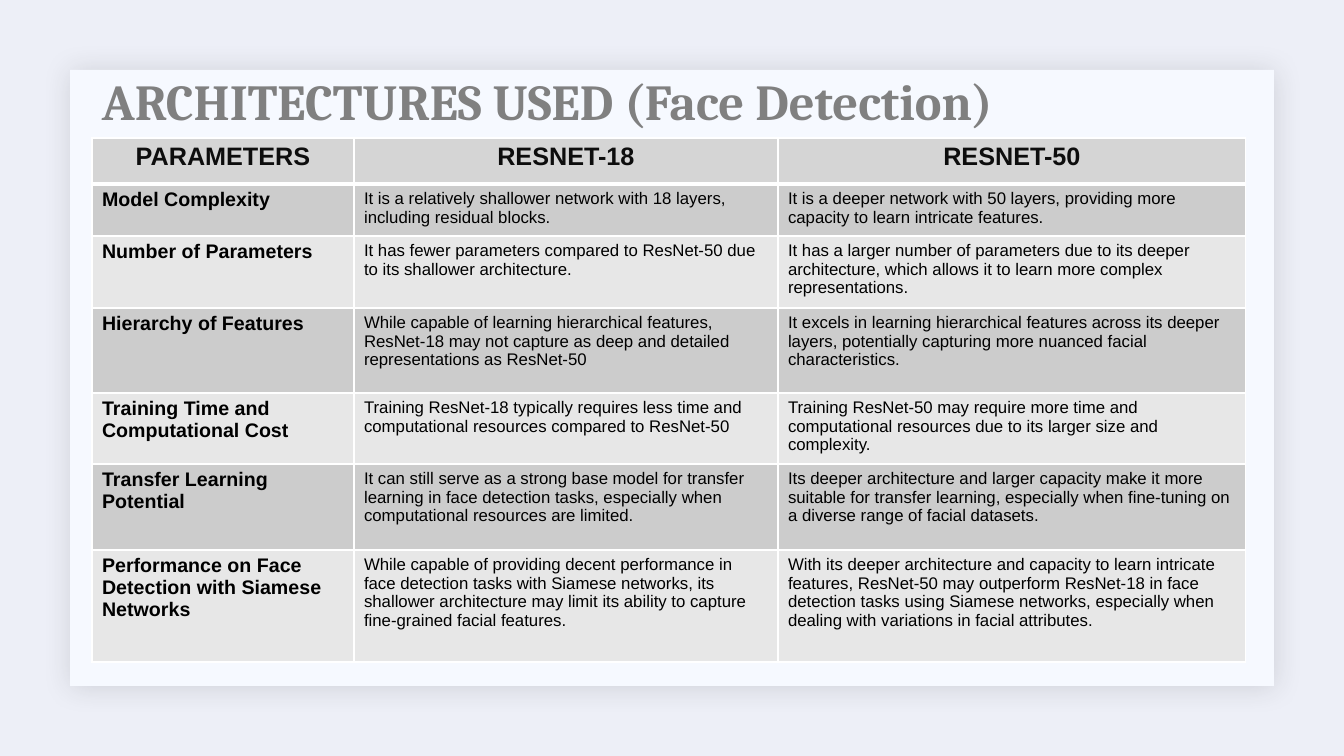
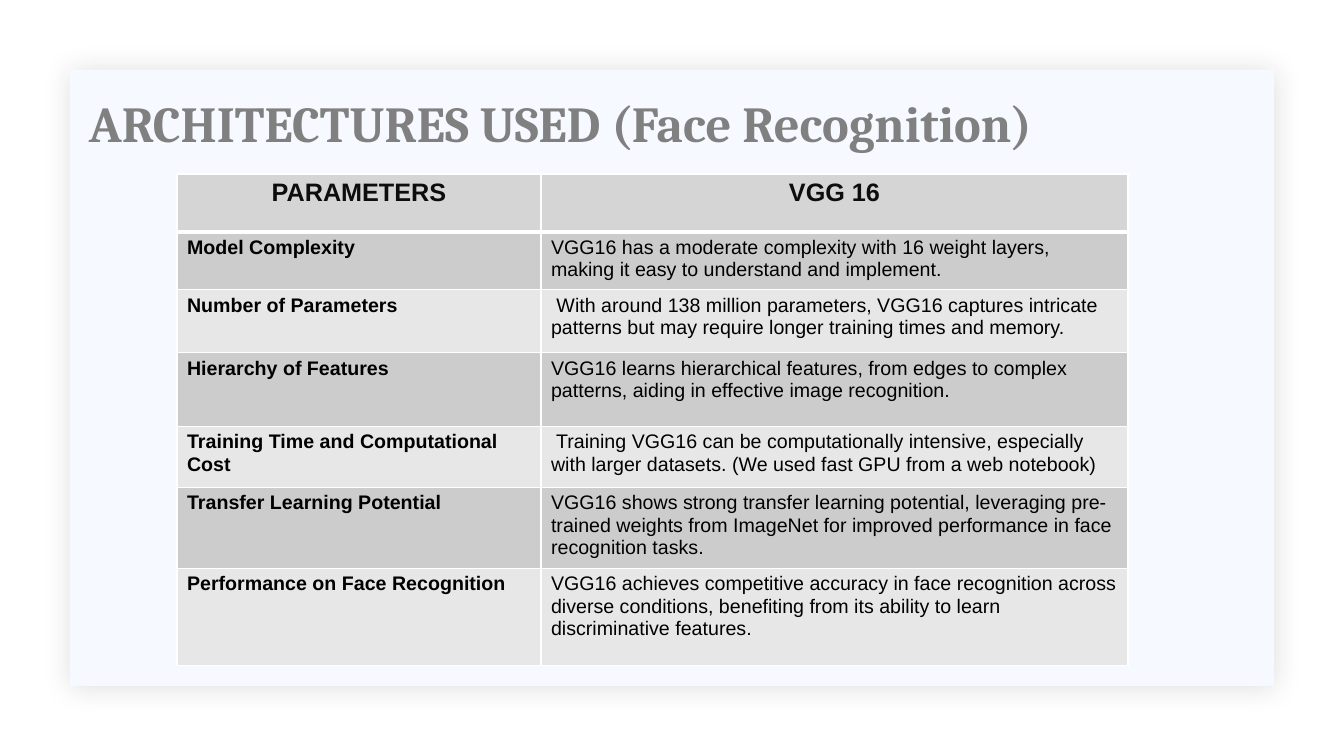
"""Build two slides that compare network architectures in tables."""
import pptx
import pptx.dml.color
import pptx.enum.shapes
import pptx.enum.text
import pptx.oxml
import pptx.oxml.ns
import pptx.util

SCALE = 12192000 / 1344
PAGE_SIZE = (1344, 756)
CARD = (70, 70, 1204, 616)
CARD_FILL = "F6F9FF"
SHADOW_COLOR = "1F2125"
TITLE_COLOR = "808080"
HEADER_TEXT = "0D0D0D"
BODY_TEXT = "000000"
HEADER_FILL = "D5D5D5"
BAND_FILLS = ("CCCCCC", "E7E7E7")
BORDER_COLOR = "FFFFFF"
TITLE_FONT = "Cambria"
TABLE_FONT = "Arial"

PAGES = [
    {
        "background": "EDEFF7",
        "title": "ARCHITECTURES USED (Face Detection)",
        "title_box": (92, 29, 1028, 142),
        "table_corner": (92, 138),
        "columns": (262, 424, 468),
        "heights": (46, 52, 72, 85, 71, 86, 112),
        "body_size": 12,
        "rows": [
            ("PARAMETERS", "RESNET-18", "RESNET-50"),
            ("Model Complexity",
             "It is a relatively shallower network with 18 layers, including residual blocks.",
             "It is a deeper network with 50 layers, providing more capacity to learn intricate features."),
            ("Number of Parameters",
             "It has fewer parameters compared to ResNet-50 due to its shallower architecture.",
             "It has a larger number of parameters due to its deeper architecture, which allows it "
             "to learn more complex representations."),
            ("Hierarchy of Features",
             "While capable of learning hierarchical features, ResNet-18 may not capture as deep "
             "and detailed representations as ResNet-50",
             "It excels in learning hierarchical features across its deeper layers, potentially "
             "capturing more nuanced facial characteristics."),
            ("Training Time and Computational Cost",
             "Training ResNet-18 typically requires less time and computational resources compared to ResNet-50",
             "Training ResNet-50 may require more time and computational resources due to its "
             "larger size and complexity."),
            ("Transfer Learning Potential",
             "It can still serve as a strong base model for transfer learning in face detection "
             "tasks, especially when computational resources are limited.",
             "Its deeper architecture and larger capacity make it more suitable for transfer "
             "learning, especially when fine-tuning on a diverse range of facial datasets."),
            ("Performance on Face Detection with Siamese Networks",
             "While capable of providing decent performance in face detection tasks with Siamese "
             "networks, its shallower architecture may limit its ability to capture fine-grained "
             "facial features.",
             "With its deeper architecture and capacity to learn intricate features, ResNet-50 may "
             "outperform ResNet-18 in face detection tasks using Siamese networks, especially when "
             "dealing with variations in facial attributes."),
        ],
    },
    {
        "background": "FFFFFF",
        "title": "ARCHITECTURES USED (Face Recognition)",
        "title_box": (79, 86, 1074, 72),
        "table_corner": (177, 174),
        "columns": (364, 587),
        "heights": (58, 56, 63, 74, 61, 81, 97),
        "body_size": 14,
        "rows": [
            ("PARAMETERS", "VGG 16"),
            ("Model Complexity",
             "VGG16 has a moderate complexity with 16 weight layers, making it easy to understand and implement."),
            ("Number of Parameters",
             " With around 138 million parameters, VGG16 captures intricate patterns but may require "
             "longer training times and memory."),
            ("Hierarchy of Features",
             "VGG16 learns hierarchical features, from edges to complex patterns, aiding in "
             "effective image recognition."),
            ("Training Time and Computational Cost",
             " Training VGG16 can be computationally intensive, especially with larger datasets. "
             "(We used fast GPU from a web notebook)"),
            ("Transfer Learning Potential",
             "VGG16 shows strong transfer learning potential, leveraging pre-trained weights from "
             "ImageNet for improved performance in face recognition tasks."),
            ("Performance on Face Recognition",
             "VGG16 achieves competitive accuracy in face recognition across diverse conditions, "
             "benefiting from its ability to learn discriminative features."),
        ],
    },
]


def px(length):
    return pptx.util.Emu(round(length * SCALE))


def place(box):
    return [px(length) for length in box]


def paint(fill, color):
    fill.solid()
    fill.fore_color.rgb = pptx.dml.color.RGBColor.from_string(color)


def write(frame, text, font_name, size, color, bold):
    para = frame.paragraphs[0]
    para.text = text
    para.font.name = font_name
    para.font.size = pptx.util.Pt(size)
    para.font.bold = bold
    para.font.color.rgb = pptx.dml.color.RGBColor.from_string(color)
    return para


def add_card(page):
    card = page.shapes.add_shape(pptx.enum.shapes.MSO_SHAPE.RECTANGLE, *place(CARD))
    paint(card.fill, CARD_FILL)
    card.line.fill.background()
    card.shadow.inherit = False
    effects = card.element.spPr.find(pptx.oxml.ns.qn("a:effectLst"))
    effects.append(pptx.oxml.parse_xml(
        f'<a:outerShdw {pptx.oxml.ns.nsdecls("a")} blurRad="{pptx.util.Pt(20)}" '
        f'dist="{pptx.util.Pt(2)}" dir="2700000" algn="ctr" rotWithShape="0">'
        f'<a:srgbClr val="{SHADOW_COLOR}"><a:alpha val="15000"/></a:srgbClr></a:outerShdw>'))


def add_title(page, text, box):
    frame = page.shapes.add_textbox(*place(box)).text_frame
    frame.word_wrap = True
    frame.vertical_anchor = pptx.enum.text.MSO_ANCHOR.MIDDLE
    write(frame, text, TITLE_FONT, 36, TITLE_COLOR, True)


def add_borders(cell, top, bottom):
    properties = cell._tc.get_or_add_tcPr()
    for side, width in (("L", 1), ("R", 1), ("T", top), ("B", bottom)):
        properties.append(pptx.oxml.parse_xml(
            f'<a:ln{side} {pptx.oxml.ns.nsdecls("a")} w="{pptx.util.Pt(width)}">'
            f'<a:solidFill><a:srgbClr val="{BORDER_COLOR}"/></a:solidFill></a:ln{side}>'))


def add_comparison(page, content):
    rows, columns, heights = content["rows"], content["columns"], content["heights"]
    box = (*content["table_corner"], sum(columns), sum(heights))
    table = page.shapes.add_table(len(rows), len(columns), *place(box)).table
    table.horz_banding = False
    for column, width in zip(table.columns, columns):
        column.width = px(width)
    for row_index, texts in enumerate(rows):
        table.rows[row_index].height = px(heights[row_index])
        header = row_index == 0
        for column_index, text in enumerate(texts):
            cell = table.cell(row_index, column_index)
            add_borders(cell, 3 if row_index == 1 else 1, 3 if header else 1)
            paint(cell.fill, HEADER_FILL if header else BAND_FILLS[(row_index - 1) % 2])
            label = column_index == 0
            size = 18 if header else 14 if label else content["body_size"]
            color = HEADER_TEXT if header else BODY_TEXT
            para = write(cell.text_frame, text, TABLE_FONT, size, color, header or label)
            if header:
                para.alignment = pptx.enum.text.PP_ALIGN.CENTER


def main():
    deck = pptx.Presentation()
    deck.slide_width, deck.slide_height = place(PAGE_SIZE)
    for content in PAGES:
        page = deck.slides.add_slide(deck.slide_layouts[6])
        paint(page.background.fill, content["background"])
        add_card(page)
        add_title(page, content["title"], content["title_box"])
        add_comparison(page, content)
    deck.save("out.pptx")


if __name__ == "__main__":
    main()
